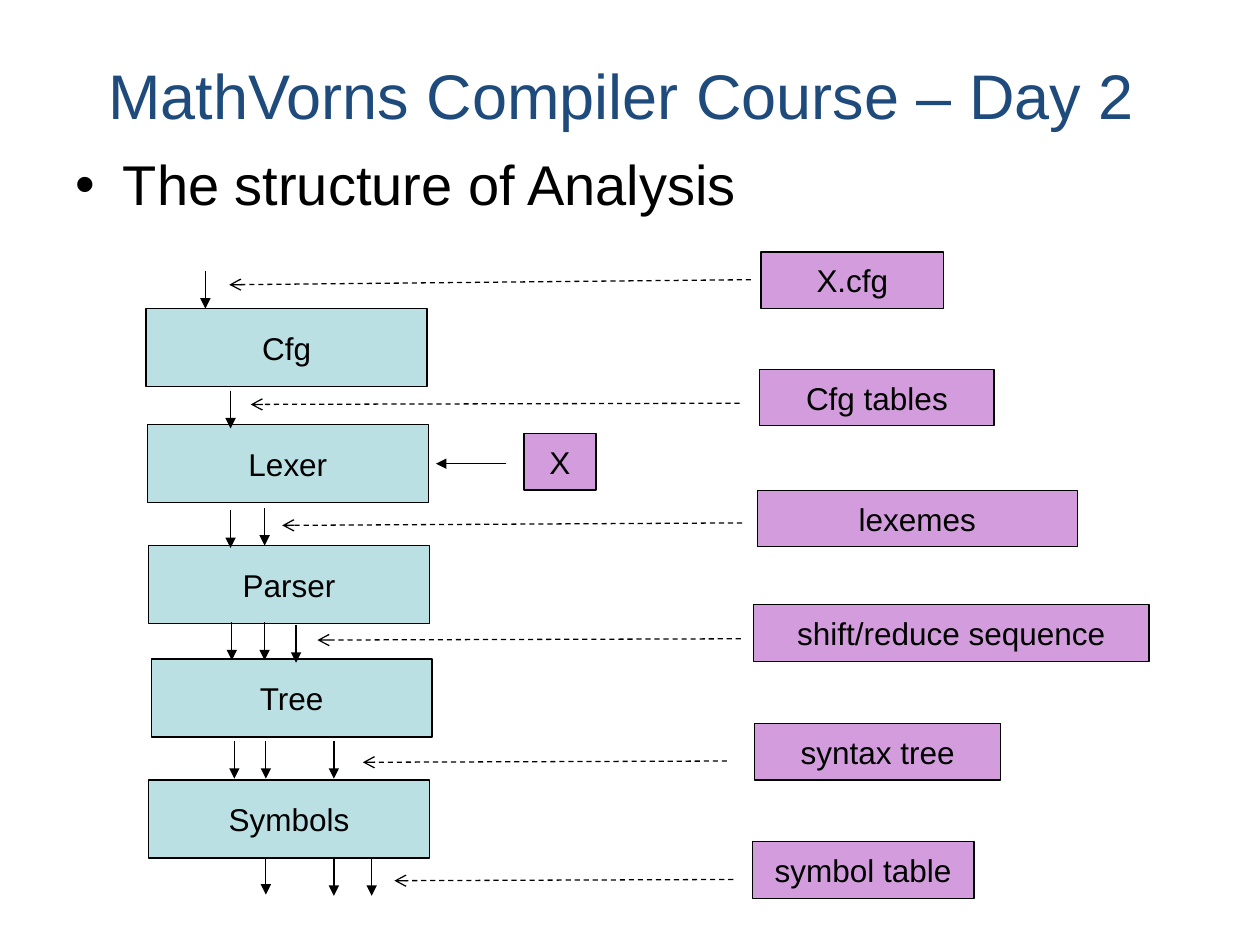
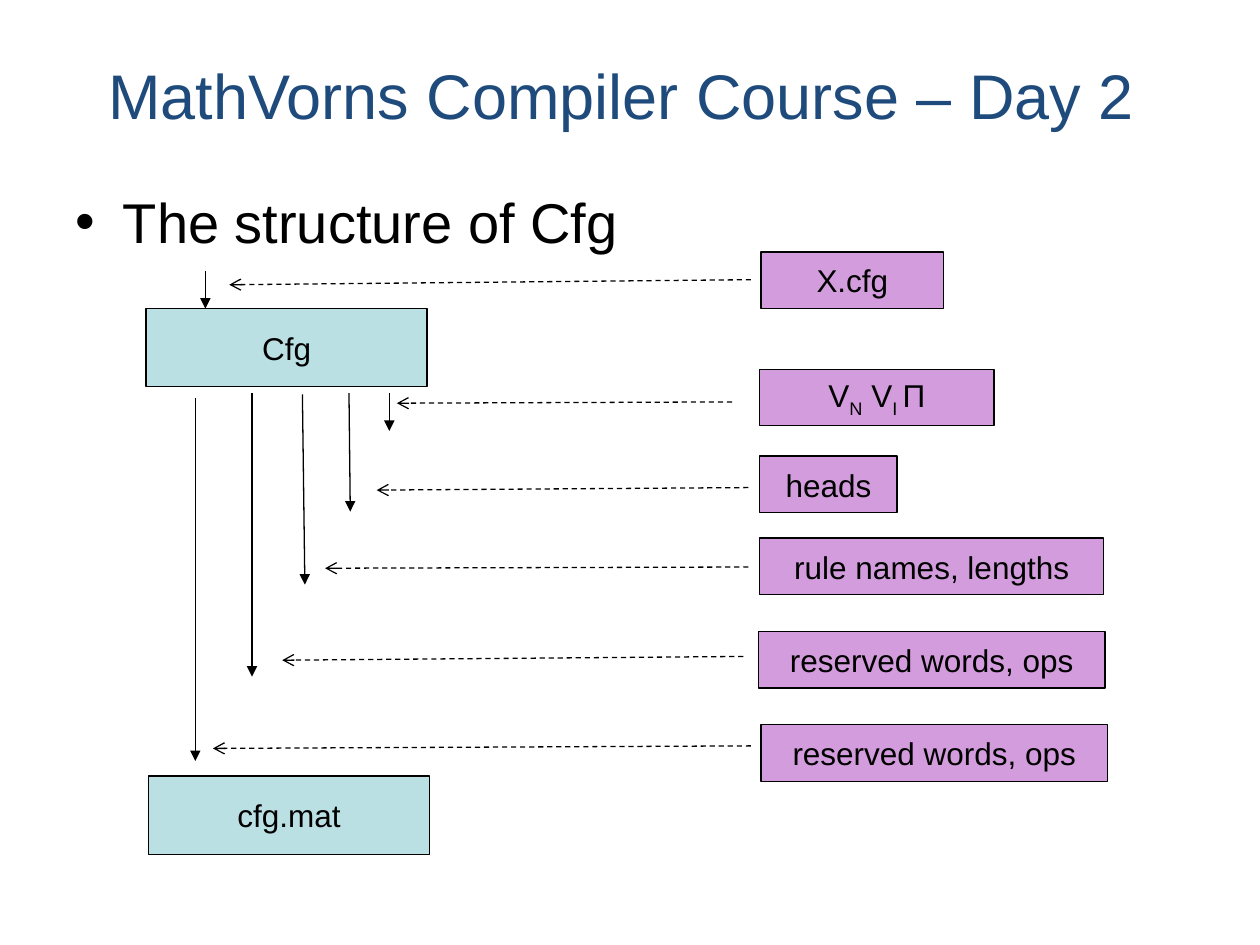
"""Build two slides on the stages and data of a compiler's analysis phase."""
import dataclasses

import lxml.etree
import pptx
import pptx.dml.color
import pptx.enum.dml
import pptx.enum.shapes
import pptx.enum.text
import pptx.oxml.ns
import pptx.util

Inches, Pt = pptx.util.Inches, pptx.util.Pt
RGB = pptx.dml.color.RGBColor.from_string
PP = pptx.enum.text


@dataclasses.dataclass(frozen=True)
class Theme:
    font: str = "Arial"
    ink: str = "000000"
    title: str = "1E4B7C"
    stage: str = "BBE0E3"
    data: str = "D39CDC"
    title_size: int = 36
    body_size: int = 32
    label_size: int = 18
    line_width: float = 0.75


THEME = Theme()
TITLE = "MathVorns Compiler Course – Day 2"
TITLE_BOX = (0.76, 0.4, 8.48, 0.7)
BODY_LEFT, BODY_WIDTH, BODY_BOTTOM = 0.5, 9.15, 7.0
STAGE_SIZE = (2.23, 0.62)
DATA_HEIGHT = 0.45
STEP = 0.3

# stages: text, left, top
# data: text, left, top, width, arrow tail, arrow tip
# flows: x, top, length, lean
CFG_STAGE = ("Cfg", 1.16, 2.45)
CFG_DATA = ("X.cfg", 6.04, 2.0, 1.45, (5.96, 2.22), (1.82, 2.26))
CFG_FLOW = (1.63, 2.15, STEP, 0)
SLIDES = [
    {
        "heading": "The structure of Analysis",
        "body_top": 1.14,
        "stages": [
            CFG_STAGE,
            ("Lexer", 1.17, 3.37),
            ("Parser", 1.18, 4.33),
            ("Tree", 1.2, 5.23),
            ("Symbols", 1.18, 6.19),
        ],
        "data": [
            CFG_DATA,
            ("Cfg tables", 6.03, 2.93, 1.86, (5.87, 3.2), (1.99, 3.21)),
            ("X", 4.16, 3.44, 0.57, (4.02, 3.68), (3.46, 3.68)),
            ("lexemes", 6.01, 3.89, 2.54, (5.89, 4.15), (2.24, 4.17)),
            ("shift/reduce sequence", 5.98, 4.8, 3.14, (5.88, 5.07), (2.52, 5.08)),
            ("syntax tree", 5.99, 5.74, 1.95, (5.77, 6.04), (2.88, 6.05)),
            ("symbol table", 5.97, 6.68, 1.76, (5.82, 6.98), (3.13, 6.99)),
        ],
        "flows": [CFG_FLOW] + [(x, top, STEP, 0) for x, top in (
            (1.83, 3.1),
            (1.83, 4.05), (2.1, 4.03),
            (1.84, 4.94), (2.1, 4.94), (2.35, 4.96),
            (1.86, 5.88), (2.11, 5.88), (2.65, 5.88),
            (2.11, 6.8), (2.65, 6.81), (2.95, 6.81),
        )],
        "solid_inputs": {"X"},
    },
    {
        "heading": "The structure of Cfg",
        "body_top": 1.44,
        "stages": [CFG_STAGE, ("cfg.mat", 1.18, 6.16)],
        "data": [
            CFG_DATA,
            ("V_N_ V_I _Π", 6.03, 2.93, 1.86, (5.81, 3.19), (3.15, 3.2)),
            ("heads", 6.03, 3.62, 1.09, (5.94, 3.87), (2.99, 3.89)),
            ("rule names, lengths", 6.03, 4.27, 2.73, (5.94, 4.5), (2.58, 4.51)),
            ("reserved words, ops", 6.02, 5.01, 2.75, (5.9, 5.21), (2.24, 5.24)),
            ("reserved words, ops", 6.04, 5.75, 2.75, (5.96, 5.92), (1.69, 5.94)),
        ],
        "flows": [
            CFG_FLOW,
            (3.09, 3.12, STEP, 0),
            (2.77, 3.12, 0.94, 0.01),
            (2.4, 3.13, 1.51, 0.02),
            (2.0, 3.12, 2.25, 0),
            (1.55, 3.16, 2.88, 0),
        ],
        "solid_inputs": set(),
    },
]


def style_run(r, size, color):
    r.font.name, r.font.size = THEME.font, Pt(size)
    r.font.color.rgb = RGB(color)


def fill_placeholder(sp, box, text, size, color):
    sp.left, sp.top, sp.width, sp.height = map(Inches, box)
    tf = sp.text_frame
    tf.text = text
    tf.auto_size = PP.MSO_AUTO_SIZE.NONE
    tf.vertical_anchor = PP.MSO_ANCHOR.TOP
    p = tf.paragraphs[0]
    p.alignment = PP.PP_ALIGN.LEFT
    style_run(p.runs[0], size, color)
    return tf


def add_box(s, text, left, top, width, height, fill):
    """Add a labelled rectangle; text between underscores is subscript."""
    sp = s.shapes.add_shape(pptx.enum.shapes.MSO_SHAPE.RECTANGLE,
                            *map(Inches, (left, top, width, height)))
    sp.shadow.inherit = False
    sp.fill.solid()
    sp.fill.fore_color.rgb = RGB(fill)
    sp.line.color.rgb = RGB(THEME.ink)
    sp.line.width = Pt(THEME.line_width)
    tf = sp.text_frame
    tf.word_wrap = False
    tf.vertical_anchor = PP.MSO_ANCHOR.MIDDLE
    p = tf.paragraphs[0]
    p.alignment = PP.PP_ALIGN.CENTER
    for i, part in enumerate(text.split("_")):
        r = p.add_run()
        r.text = part
        style_run(r, THEME.label_size, THEME.ink)
        if i % 2:
            r.font._element.set("baseline", "-25000")


def add_arrow(s, tail, tip, dashed=False):
    c = s.shapes.add_connector(pptx.enum.shapes.MSO_CONNECTOR.STRAIGHT,
                               *map(Inches, (*tail, *tip)))
    c.line.color.rgb = RGB(THEME.ink)
    c.line.width = Pt(THEME.line_width)
    if dashed:
        c.line.dash_style = pptx.enum.dml.MSO_LINE.DASH
    qn = pptx.oxml.ns.qn
    end = lxml.etree.SubElement(c.line._get_or_add_ln(), qn("a:tailEnd"))
    end.set("type", "arrow" if dashed else "triangle")
    lxml.etree.SubElement(c._element.spPr, qn("a:effectLst"))


def add_slide(prs, content):
    s = prs.slides.add_slide(prs.slide_layouts[1])
    tf = fill_placeholder(s.shapes.title, TITLE_BOX, TITLE,
                          THEME.title_size, THEME.title)
    tf.word_wrap = False
    top = content["body_top"]
    tf = fill_placeholder(s.placeholders[1],
                          (BODY_LEFT, top, BODY_WIDTH, BODY_BOTTOM - top),
                          content["heading"], THEME.body_size, THEME.ink)
    tf.paragraphs[0].space_before = Pt(8)
    for text, left, top in content["stages"]:
        add_box(s, text, left, top, *STAGE_SIZE, THEME.stage)
    for text, left, top, width, tail, tip in content["data"]:
        add_box(s, text, left, top, width, DATA_HEIGHT, THEME.data)
        add_arrow(s, tail, tip, dashed=text not in content["solid_inputs"])
    for x, top, length, lean in content["flows"]:
        add_arrow(s, (x, top), (x + lean, top + length))


def main():
    prs = pptx.Presentation()
    prs.slide_width, prs.slide_height = Inches(10), Inches(7.5)
    for content in SLIDES:
        add_slide(prs, content)
    prs.save("out.pptx")


if __name__ == "__main__":
    main()
